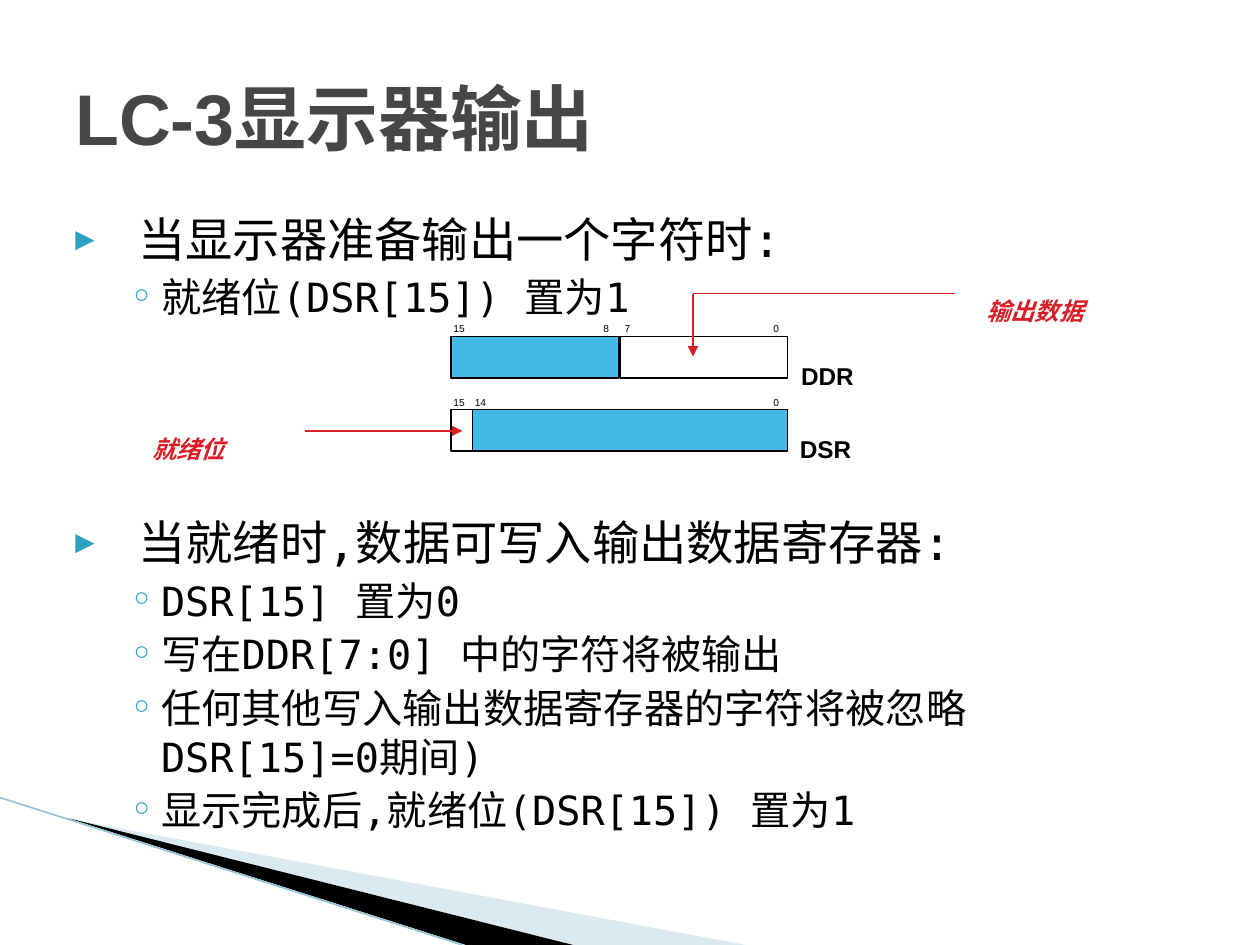
from pptx import Presentation
from pptx import util as u
from pptx.dml.color import RGBColor
from pptx.enum import shapes, text
from pptx.oxml import ns
from lxml import etree

BLACK = RGBColor(0x00, 0x00, 0x00)
WHITE = RGBColor(0xFF, 0xFF, 0xFF)
TITLE_GREY = RGBColor(0x46, 0x46, 0x46)
TEAL = RGBColor(0x2D, 0xA2, 0xBF)
PALE_BLUE = RGBColor(0xA0, 0xCB, 0xDC)
EDGE_BLUE = RGBColor(0x97, 0xC5, 0xD8)
SKY = RGBColor(0x44, 0xB9, 0xE8)
RED = RGBColor(0xDA, 0x1F, 0x28)

TITLE = dict(name="Arial", size=u.Pt(41), bold=True, color=TITLE_GREY)
REGISTER = dict(name="Arial", size=u.Pt(24), bold=True, color=BLACK)
BIT = dict(name="Arial", size=u.Pt(10), color=BLACK)
NOTE = dict(REGISTER, italic=True, color=RED)
LEVELS = [
    dict(size=27, space=4, margin=0.5, indent=-0.5, bullet="▶", scale=68),
    dict(size=23, space=3.2, margin=0.68, indent=-0.25, bullet="◦", scale=100),
]
DIAGRAM_GAP = 110

POINTS = [
    (0, "当显示器准备输出一个字符时:"),
    (1, "就绪位(DSR[15]) 置为1"),
    (0, "当就绪时,数据可写入输出数据寄存器:"),
    (1, "DSR[15] 置为0"),
    (1, "写在DDR[7:0] 中的字符将被输出"),
    (1, "任何其他写入输出数据寄存器的字符将被忽略\vDSR[15]=0期间)"),
    (1, "显示完成后,就绪位(DSR[15]) 置为1"),
]


def inches(*lengths):
    return [u.Inches(length) for length in lengths]


def add_xml(parent, tag, **attributes):
    return etree.SubElement(parent, ns.qn(tag), attributes)


class Slide:
    def __init__(self, slide, font_name, line_width):
        self.shapes = slide.shapes
        self.font_name = font_name
        self.line_width = u.Pt(line_width)

    def apply(self, font, values):
        for key, value in values.items():
            if key == "color":
                font.color.rgb = value
            else:
                setattr(font, key, value)

    def title(self, wording, place):
        frame = self.shapes.add_textbox(*inches(*place)).text_frame
        frame.word_wrap = True
        frame.vertical_anchor = text.MSO_ANCHOR.MIDDLE
        run = frame.paragraphs[0].add_run()
        run.text = wording
        self.apply(run.font, TITLE)

    def outline(self, points, place):
        frame = self.shapes.add_textbox(*inches(*place)).text_frame
        frame.word_wrap = True
        for index, (level, wording) in enumerate(points):
            style = LEVELS[level]
            paragraph = frame.add_paragraph() if index else frame.paragraphs[0]
            paragraph.text = wording
            paragraph.level = level
            if index:
                gap = DIAGRAM_GAP if level == 0 else style["space"]
                paragraph.space_before = u.Pt(gap)
            self.bullet(paragraph, style)
            for run in paragraph.runs:
                self.apply(run.font, dict(name=self.font_name, size=u.Pt(style["size"]), color=BLACK))

    def bullet(self, paragraph, style):
        properties = paragraph._p.get_or_add_pPr()
        properties.set("marL", str(u.Inches(style["margin"])))
        properties.set("indent", str(u.Inches(style["indent"])))
        add_xml(add_xml(properties, "a:buClr"), "a:srgbClr", val=str(TEAL))
        add_xml(properties, "a:buSzPct", val=str(style["scale"] * 1000))
        add_xml(properties, "a:buFont", typeface=self.font_name)
        add_xml(properties, "a:buChar", char=style["bullet"])

    def label(self, wording, place, style):
        frame = self.shapes.add_textbox(*inches(*place)).text_frame
        frame.word_wrap = False
        frame.auto_size = text.MSO_AUTO_SIZE.SHAPE_TO_FIT_TEXT
        run = frame.paragraphs[0].add_run()
        run.text = wording
        self.apply(run.font, style)
        run._r.get_or_add_rPr().set("baseline", "-25000")

    def field(self, left, top, width, color):
        box = self.shapes.add_shape(shapes.MSO_SHAPE.RECTANGLE, *inches(left, top, width, 0.33))
        box.shadow.inherit = False
        box.fill.solid()
        box.fill.fore_color.rgb = color
        box.line.color.rgb = BLACK
        box.line.width = self.line_width

    def line(self, start, end, color, arrow=False, width=None):
        connector = self.shapes.add_connector(shapes.MSO_CONNECTOR.STRAIGHT, *inches(*start, *end))
        connector.line.color.rgb = color
        connector.line.width = width or self.line_width
        if arrow:
            add_xml(connector.line._get_or_add_ln(), "a:tailEnd", type="triangle")
        add_xml(connector._element.spPr, "a:effectLst")

    def wedge(self, corners, color, opacity=100):
        start, *others = [inches(*corner) for corner in corners]
        builder = self.shapes.build_freeform(*start)
        builder.add_line_segments(others, close=True)
        wedge = builder.convert_to_shape()
        wedge.shadow.inherit = False
        wedge.fill.solid()
        wedge.fill.fore_color.rgb = color
        wedge.line.fill.background()
        if opacity < 100:
            color_node = wedge._element.spPr.find(".//" + ns.qn("a:srgbClr"))
            add_xml(color_node, "a:alpha", val=str(opacity * 1000))


def main():
    deck = Presentation()
    deck.slide_width, deck.slide_height = inches(10, 7.5)
    slide = Slide(deck.slides.add_slide(deck.slide_layouts[6]), "DejaVu Sans Mono", 0.75)

    slide.wedge([(0.55, 6.5), (5.92, 7.5), (4.56, 7.5)], PALE_BLUE, 40)
    slide.wedge([(0.53, 6.49), (4.55, 7.5), (3.7, 7.5)], BLACK)
    slide.line((0, 6.33), (3.67, 7.5), EDGE_BLUE, width=u.Pt(0.95))

    slide.outline(POINTS, (0.5, 1.62, 9, 4.95))
    slide.title("LC-3显示器输出", (0.5, 0.3, 9, 1.25))

    registers = [
        (2.67, [(3.58, 1.33, SKY), (4.92, 1.33, WHITE)],
         [("15", 3.5), ("8", 4.69), ("7", 4.86), ("0", 6.04)]),
        (3.25, [(3.58, 0.17, WHITE), (3.75, 2.5, SKY)],
         [("15", 3.5), ("14", 3.67), ("0", 6.04)]),
    ]
    for top, fields, bits in registers:
        for left, width, color in fields:
            slide.field(left, top, width, color)
        for bit, left in bits:
            slide.label(bit, (left, top - 0.25, 0.21 + 0.07 * len(bit), 0.27), BIT)
    slide.label("DDR", (6.26, 2.59, 0.93, 0.5), REGISTER)
    slide.label("DSR", (6.25, 3.17, 0.91, 0.5), REGISTER)

    slide.label("输出数据", (7.73, 2.08, 1.56, 0.51), NOTE)
    slide.line((7.58, 2.33), (5.5, 2.33), RED)
    slide.line((5.5, 2.33), (5.5, 2.83), RED, arrow=True)
    slide.label("就绪位", (1.11, 3.17, 1.22, 0.51), NOTE)
    slide.line((2.42, 3.42), (3.67, 3.42), RED, arrow=True)

    deck.save("out.pptx")


if __name__ == "__main__":
    main()
